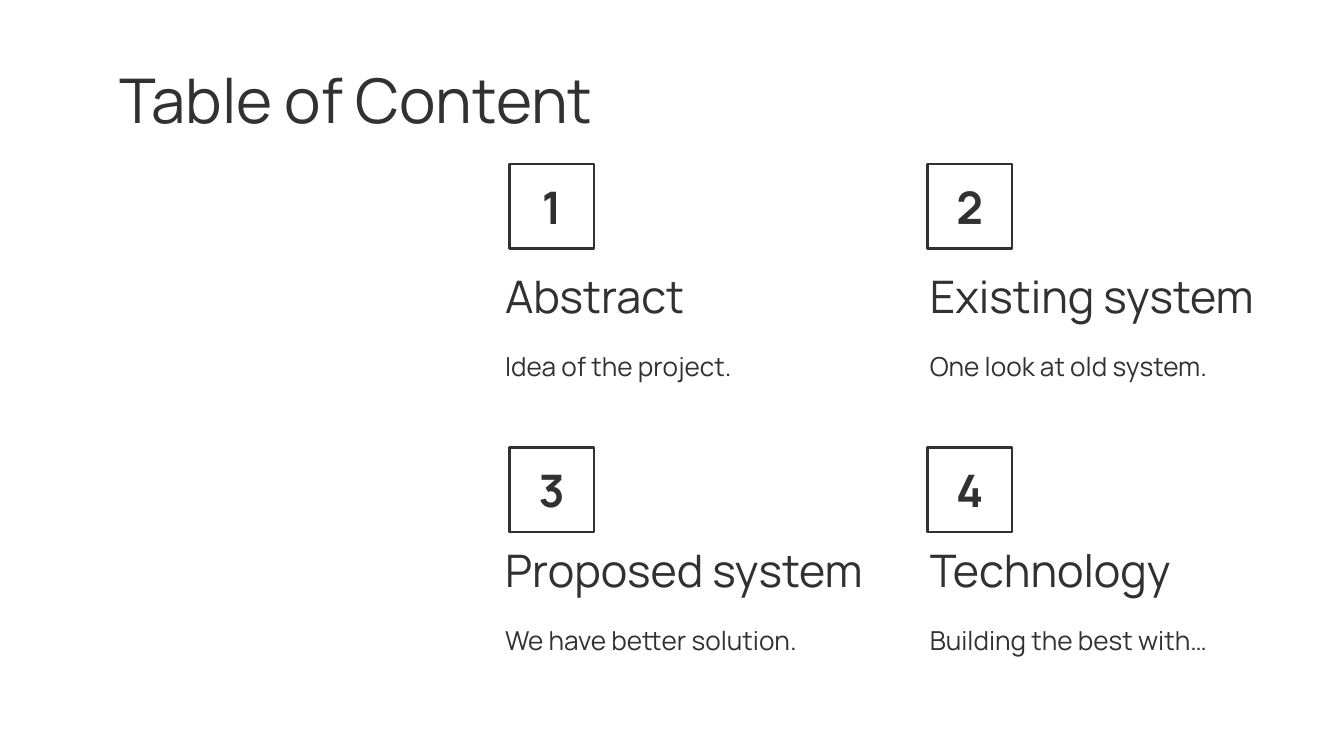
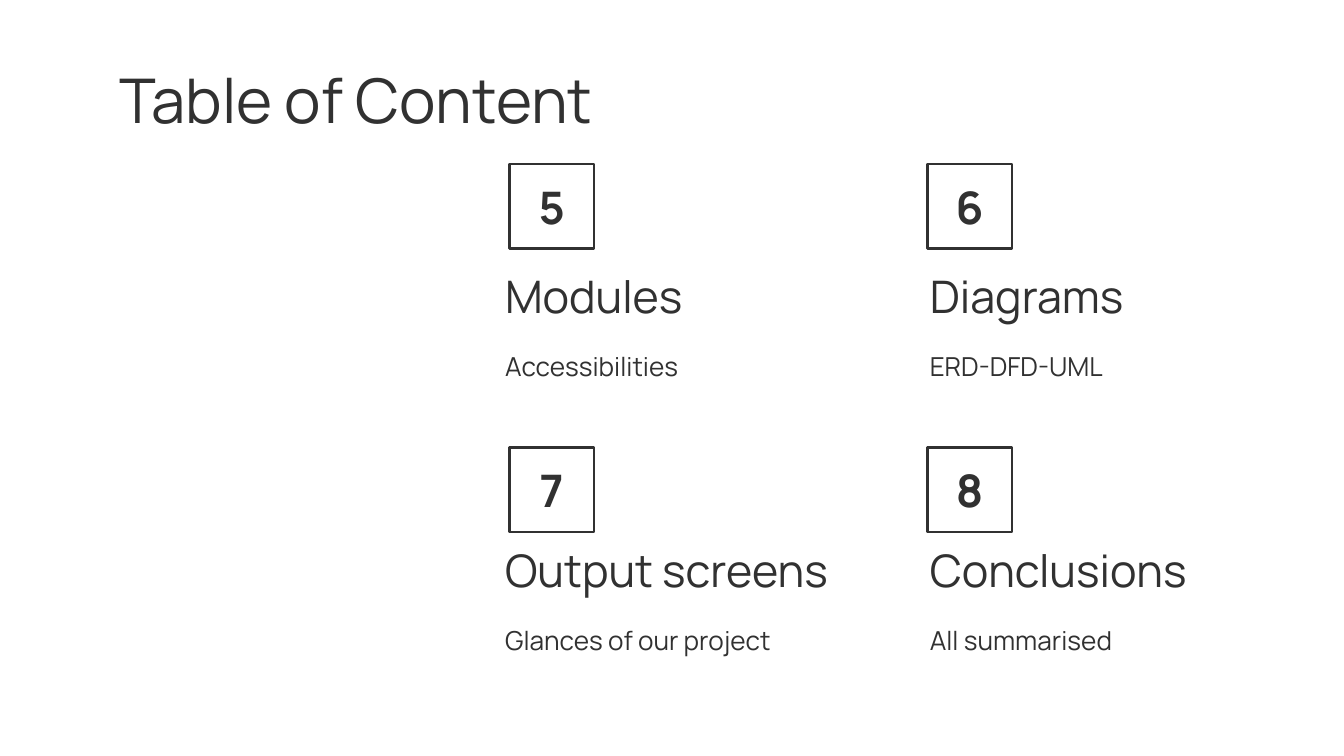
from pptx import Presentation
from pptx.dml.color import RGBColor
from pptx.enum.shapes import MSO_SHAPE
from pptx.enum.text import MSO_ANCHOR, PP_ALIGN
from pptx.util import Inches, Pt

RECT = MSO_SHAPE.RECTANGLE
MIDDLE = MSO_ANCHOR.MIDDLE
LEFT, CENTER = PP_ALIGN.LEFT, PP_ALIGN.CENTER
INK = "313131"
SIDE = 0.63

TITLE = {"size": Pt(33), "bold": False}
NUMBER = {"size": Pt(24), "bold": True}
HEAD = {"size": Pt(24), "bold": False}
NOTE = {"size": Pt(14), "bold": False}

COLS = [(3.79, 3.66), (6.9, 6.82)]
ROWS = [(1.22, 1.91), (3.33, 3.95)]
WIDTHS = [2.1, 2.95, 3.24, 2.39]

PAGES = [
    [
        ("Abstract", "Idea of the project.", 2.1),
        ("Existing system", "One look at old system.", 2.77),
        ("Proposed system", "We have better solution.", 2.78),
        ("Technology", "Building the best with…", 2.77),
    ],
    [
        ("Modules", "Accessibilities", 2.1),
        ("Diagrams", "ERD-DFD-UML", 2.1),
        ("Output screens", "Glances of our project", 2.61),
        ("Conclusions", "All summarised", 2.1),
    ],
]


def color(text):
    return RGBColor.from_string(text)


def write(shape, text, style, align=LEFT):
    frame = shape.text_frame
    frame.word_wrap = True
    frame.vertical_anchor = MIDDLE
    for edge in ("left", "top", "right", "bottom"):
        setattr(frame, f"margin_{edge}", Inches(0.1))
    para = frame.paragraphs[0]
    para.alignment = align
    run = para.add_run()
    run.text = text
    run.font.name = "Manrope"
    run.font.color.rgb = color(INK)
    for name, value in style.items():
        setattr(run.font, name, value)


prs = Presentation()
prs.slide_width = Inches(10)
prs.slide_height = Inches(10 * 9 / 16)
blank = prs.slide_layouts[6]

for page, items in enumerate(PAGES):
    slide = prs.slides.add_slide(blank)
    shapes = slide.shapes
    slide.background.fill.solid()
    slide.background.fill.fore_color.rgb = color("FFFFFF")

    title = shapes.add_textbox(Inches(0.79), Inches(0.42), Inches(6.94), Inches(0.63))
    write(title, "Table of Content", TITLE)

    for i, (head, note, width) in enumerate(items):
        row, col = divmod(i, 2)
        box_x, text_x = COLS[col]
        box_y, text_y = ROWS[row]

        box = shapes.add_shape(RECT, Inches(box_x), Inches(box_y), Inches(SIDE), Inches(SIDE))
        box.shadow.inherit = False
        box.fill.background()
        box.line.color.rgb = color(INK)
        box.line.width = Pt(1.5)
        write(box, str(page * len(items) + i + 1), NUMBER, CENTER)

        label = shapes.add_textbox(Inches(text_x), Inches(text_y), Inches(WIDTHS[i]), Inches(0.58))
        write(label, head, HEAD)

        detail = shapes.add_textbox(Inches(text_x), Inches(text_y + 0.55), Inches(width), Inches(0.53))
        write(detail, note, NOTE)

prs.save("out.pptx")
